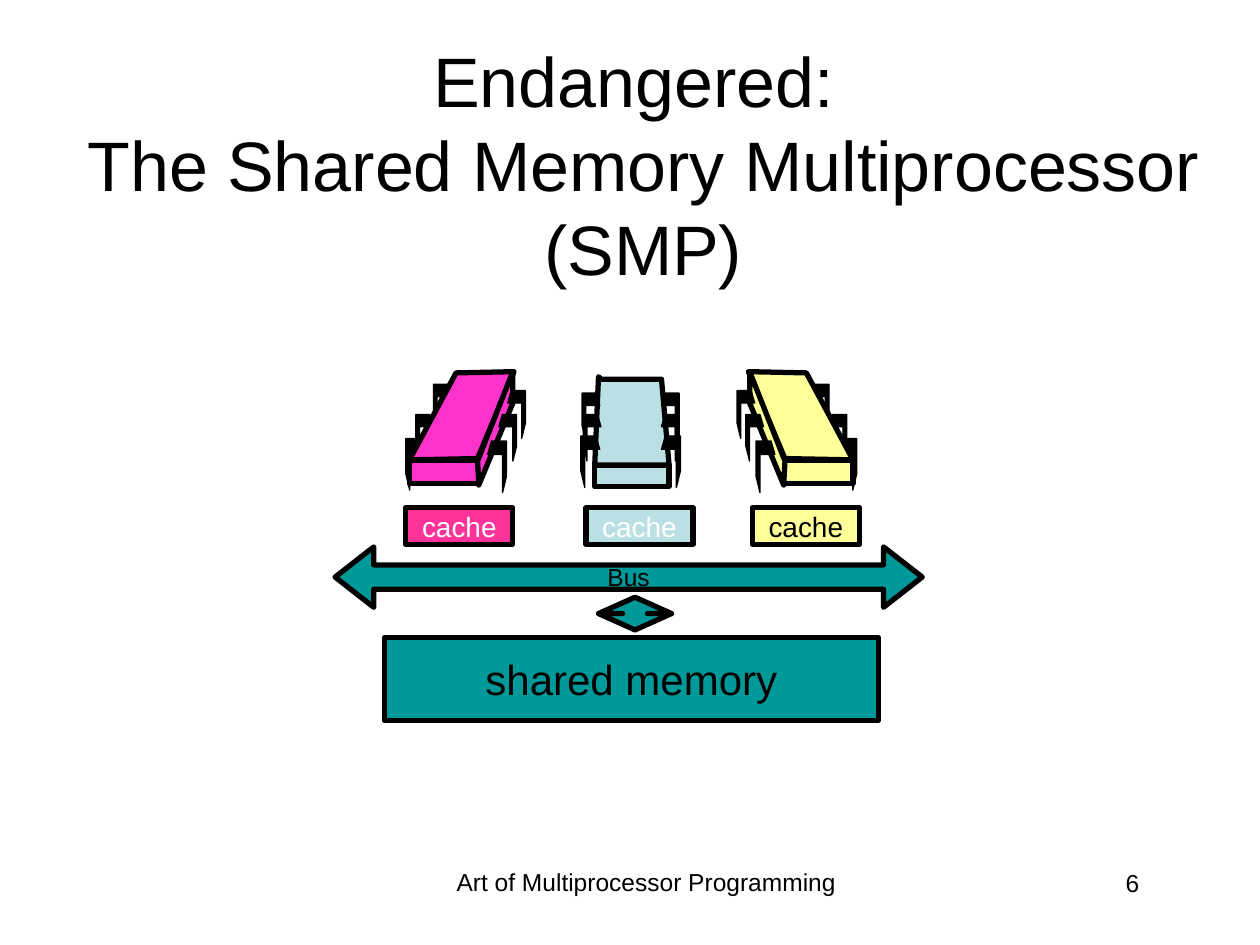
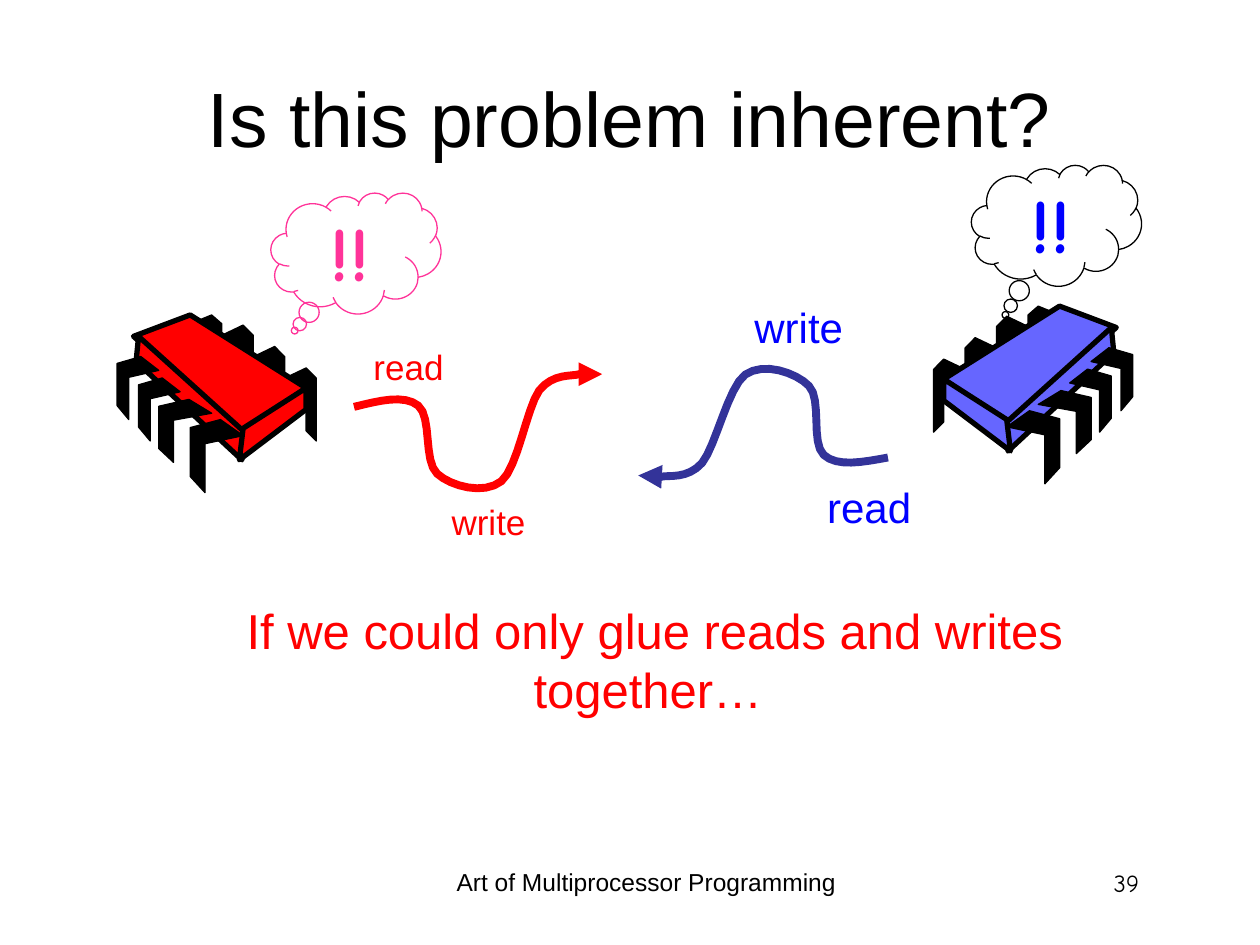
from lxml import etree
from pptx import Presentation
from pptx import util as u
from pptx.dml.color import RGBColor
from pptx.enum import shapes, text
from pptx.oxml import ns

HUE = {
    "ink": "000000", "white": "FFFFFF", "teal": "009999", "ice": "BBE0E3",
    "pink": "FF3399", "rose": "FF33CC", "cream": "FFFF99", "red": "FF0000",
    "blue": "0000FF", "sky": "6666FF", "navy": "333399",
}
SANS, COMIC = "Arial", "Comic Neue"
KIND = shapes.MSO_SHAPE
ALIGN = {"c": text.PP_ALIGN.CENTER, "r": text.PP_ALIGN.RIGHT}
MID, TOP = text.MSO_ANCHOR.MIDDLE, text.MSO_ANCHOR.TOP


def mirror(pts, wide=1):
    return [(wide - x, y) for x, y in pts]


# Leg outlines, as shares of the box of the leg
PIN = [(.2, 0), (1, 0), (1, .68), (.79, 1), (.79, .26), (0, .26)]
LPIN = mirror(PIN)
REAR = [(0, .14), (.68, 0), (1, .14), (1, 1), (.68, .86), (.68, .28), (0, .42)]
NEAR = [(.57, 0), (1, .22), (.28, .33), (.28, 1), (0, .78), (0, .11)]

# Chips, in inches from their top left corner; legs are outline and box
SLANT = {
    "wide": .96,
    "front": (.03, .7, .55, .19),
    "back": [(LPIN, 0, .53, .15, .41), (LPIN, .08, .34, .14, .37),
             (LPIN, .22, .1, .14, .38)],
    "faces": [[(.03, .7), (.57, .69), (.86, 0), (.4, .01)],
              [(.85, 0), (.85, .25), (.58, .9), (.57, .71)]],
    "near": [(PIN, .65, .55, .15, .41), (PIN, .74, .34, .14, .37),
             (PIN, .81, .15, .14, .38)],
}
UPRIGHT = {
    "wide": .79,
    "front": (.11, .74, .59, .17),
    "back": [],
    "faces": [[(.16, .06), (.64, .06), (.7, .74), (.11, .74), (.14, .04)]],
    "near": [(PIN, .64, .51, .15, .41), (PIN, .64, .34, .14, .37),
             (PIN, .64, .17, .14, .38), (LPIN, 0, .51, .15, .41),
             (LPIN, .02, .34, .14, .37), (LPIN, .01, .17, .14, .38)],
}
BUG = {
    "wide": 1.58,
    "back": [(REAR, 1.33, .42, .25, .58), (REAR, 1.08, .25, .25, .58),
             (REAR, .83, .08, .25, .58), (REAR, .58, 0, .25, .5)],
    "faces": [[(.58, 0), (1.5, .58), (.99, .93), (.13, .17)],
              [(.17, .17), (1, .92), (.99, 1.15), (.15, .37)],
              [(1.5, .58), (1.5, .75), (.97, 1.15), (1, .9)]],
    "near": [(NEAR, .58, .83, .42, .58), (NEAR, .33, .67, .42, .5),
             (NEAR, .17, .5, .33, .5), (NEAR, 0, .33, .33, .5)],
}

# Wave: a start, then two handles and an end for each bend
WAVE = [(0, .29),
        (.2, .24), (.4, .19), (.51, .28), (.62, .37), (.55, .72), (.66, .82),
        (.77, .92), (1.03, .99), (1.17, .88), (1.3, .77), (1.37, .3), (1.47, .16),
        (1.58, .02), (1.73, .05), (1.79, .03), (1.86, 0), (1.85, .03), (1.88, .03),
        (1.91, .03), (1.94, .03), (1.97, .03)]


def rgb(hue):
    return RGBColor.from_string(HUE[hue])


def emus(box):
    return [u.Inches(n) for n in box]


def put(item, **form):
    for key, val in form.items():
        setattr(item, key, val)


def write(frame, words, size, hue="ink", face=SANS, align="c", anchor=TOP,
          wrap=True, bold=False):
    frame.text = words
    put(frame, word_wrap=wrap, vertical_anchor=anchor,
        auto_size=text.MSO_AUTO_SIZE.NONE)
    for para in frame.paragraphs:
        para.alignment = ALIGN[align]
        for run in para.runs:
            put(run.font, name=face, size=u.Pt(size), bold=bold)
            run.font.color.rgb = rgb(hue)


def label(slide, box, words, size, **form):
    write(slide.shapes.add_textbox(*emus(box)).text_frame, words, size, **form)


def paint(shape, fill, weight, line="ink"):
    shape.shadow.inherit = False
    if fill:
        shape.fill.solid()
        shape.fill.fore_color.rgb = rgb(fill)
    else:
        shape.fill.background()
    shape.line.width = u.Pt(weight)
    shape.line.color.rgb = rgb(line)


def block(slide, box, fill, words="", size=16, hue="ink", kind=KIND.RECTANGLE,
          adj=()):
    shape = slide.shapes.add_shape(kind, *emus(box))
    for i, val in enumerate(adj):
        shape.adjustments[i] = val
    paint(shape, fill, 3)
    if words:
        write(shape.text_frame, words, size, hue, anchor=MID, wrap=False)


def trace(slide, left, top, pts, close=True):
    spots = [emus((left + x, top + y)) for x, y in pts]
    pen = slide.shapes.build_freeform(*spots[0])
    pen.add_line_segments(spots[1:], close=close)
    return pen.convert_to_shape()


def chip(slide, left, top, form, fill, flip=False):
    wide = form["wide"]

    def draw(pts, hue, weight):
        pts = mirror(pts, wide) if flip else pts
        paint(trace(slide, left, top, pts), hue, weight)

    def legs(group):
        for shape, x, y, w, h in group:
            draw([(x + a * w, y + b * h) for a, b in shape], "ink", .75)

    if "front" in form:
        x, y, w, h = form["front"]
        x = wide - x - w if flip else x
        block(slide, (left + x, top + y, w, h), fill)
    legs(form["back"])
    for face in form["faces"]:
        draw(face, fill, 3)
    legs(form["near"])


def curve(pts, steps=8):
    """Points along a chain of cubic bends."""
    out = [pts[0]]
    for i in range(0, len(pts) - 1, 3):
        bend = pts[i:i + 4]
        for n in range(1, steps + 1):
            t = n / steps
            mix = ((1 - t) ** 3, 3 * t * (1 - t) ** 2, 3 * t * t * (1 - t), t ** 3)
            out.append(tuple(sum(m * p[k] for m, p in zip(mix, bend))
                             for k in (0, 1)))
    return out


def wave(slide, left, top, hue, turn=0):
    shape = trace(slide, left, top, curve(WAVE), close=False)
    paint(shape, None, 4.5, hue)
    shape.rotation = turn
    etree.SubElement(shape.line._get_or_add_ln(), ns.qn("a:tailEnd"), type="triangle")


def cloud(slide, left, top, adj, line, hue):
    shape = slide.shapes.add_shape(KIND.CLOUD_CALLOUT, *emus((left, top, 1.35, .96)))
    for i, val in enumerate(adj):
        shape.adjustments[i] = val
    paint(shape, None, .75, line)
    write(shape.text_frame, "!!", 44, hue, COMIC, anchor=MID, bold=True)


def base(deck, title, box, size, page, face=SANS):
    """Slide with the shared title, footer and page number."""
    slide = deck.slides.add_slide(deck.slide_layouts[5])
    head = slide.shapes.title
    put(head, **dict(zip(("left", "top", "width", "height"), emus(box))))
    write(head.text_frame, title, size, anchor=MID)
    label(slide, (3.42, 6.83, 3.42, .52), "Art of Multiprocessor Programming", 14)
    label(slide, (7.06, 6.84, 2.08, .5), page, 14, face=face, align="r")
    return slide


def machine(slide, left, top):
    """Three chips with caches, on a bus to the memory."""
    chip(slide, left + .56, top, SLANT, "rose")
    chip(slide, left + 1.95, top, UPRIGHT, "ice")
    chip(slide, left + 3.18, top, SLANT, "cream", flip=True)
    block(slide, (left, top + 1.39, 4.66, .48), "teal", "Bus", 14,
          kind=KIND.LEFT_RIGHT_ARROW, adj=(.4, .64))
    block(slide, (left + .39, top + 2.11, 3.92, .66), "teal", "shared memory", 24)
    block(slide, (left + 2.09, top + 1.79, .58, .26), "teal",
          kind=KIND.UP_DOWN_ARROW, adj=(.5, .34))
    for x, fill, hue in ((.56, "pink", "white"), (1.99, "ice", "white"),
                         (3.31, "cream", "ink")):
        block(slide, (left + x, top + 1.08, .85, .29), fill, "cache", hue=hue)


def threads(slide, left, top):
    """Two chips with thoughts, each sending a wave."""
    chip(slide, left, top + .07, BUG, "red")
    chip(slide, left + 6.48, top, BUG, "sky", flip=True)
    wave(slide, left + 1.88, top + .51, "red")
    wave(slide, left + 4.16, top + .48, "navy", 183.4)
    for x, y, w, h, word, size, hue in (
            (1.93, .26, .76, .44, "read", 20, "red"),
            (2.54, 1.49, .8, .44, "write", 20, "red"),
            (5.49, 1.34, .91, .5, "read", 24, "blue"),
            (4.95, -.09, .91, .5, "write", 24, "blue")):
        label(slide, (left + x, top + y, w, h), word, size, hue=hue,
              align="r", wrap=False)
    cloud(slide, left + 1.22, top - .9, (-.36, .64), "pink", "pink")
    cloud(slide, left + 6.78, top - 1.12, (-.3, .74), "ink", "blue")


def main():
    deck = Presentation()
    put(deck, slide_width=u.Inches(10), slide_height=u.Inches(7.5))

    # Shared memory machine
    slide = base(deck, "Endangered: \vThe Shared Memory Multiprocessor\v(SMP)",
                 (.27, .67, 9.67, 1.25), 40, "6")
    machine(slide, 2.66, 2.95)

    # Reads and writes
    slide = base(deck, "Is this problem inherent?", (.5, .3, 9, 1.25), 44, "39", COMIC)
    threads(slide, .93, 2.43)
    label(slide, (1.75, 4.72, 6.89, 1.03),
          "If we could only glue reads and writes together… ", 28, hue="red")
    deck.save("out.pptx")


if __name__ == "__main__":
    main()
